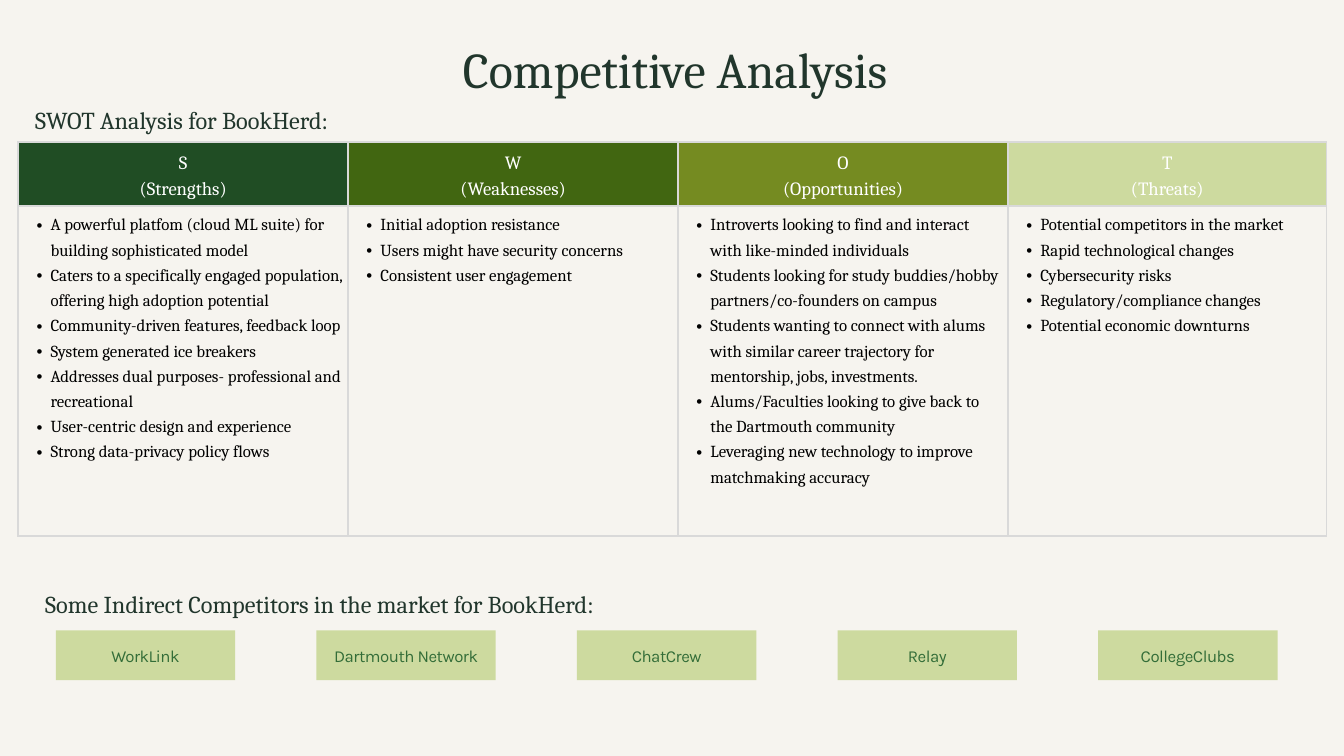
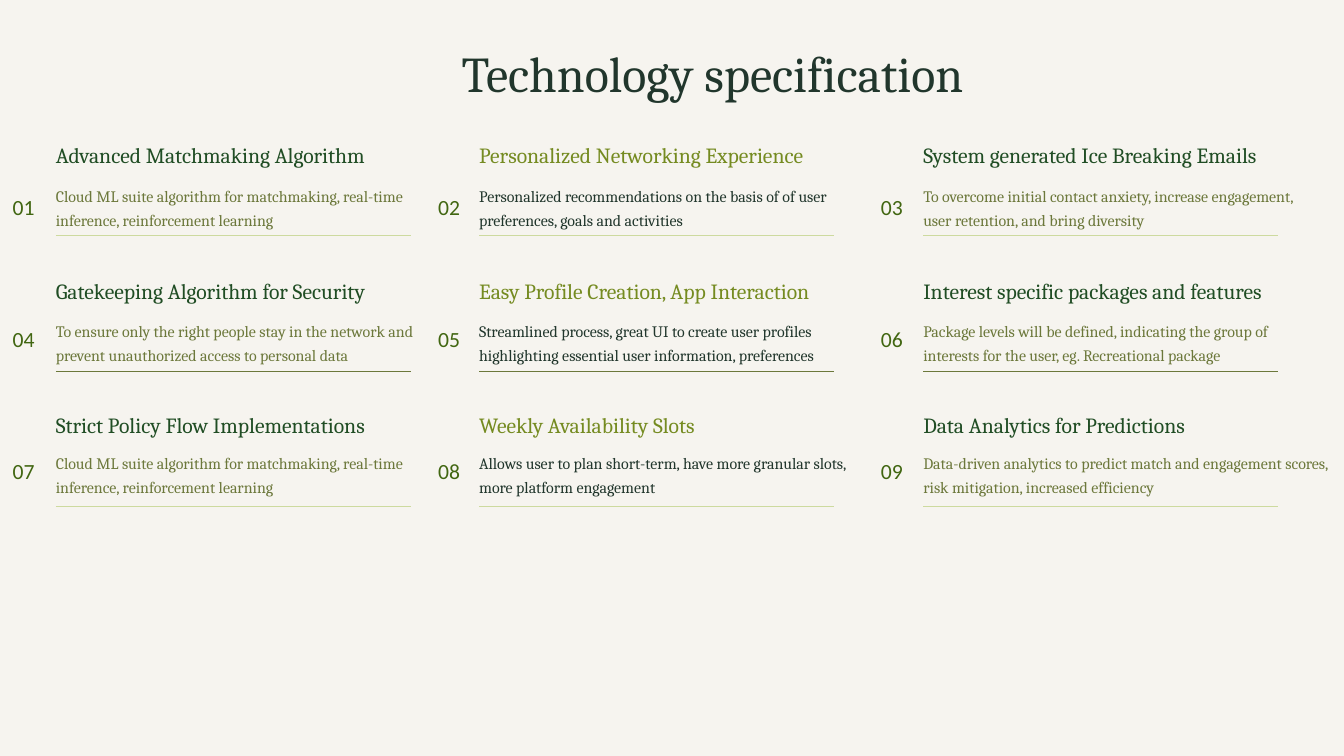
"""Build two slides: a SWOT table with indirect competitors, and a technology specification grid."""
import lxml.etree
import pptx
import pptx.dml.color
import pptx.enum.shapes
import pptx.enum.text
import pptx.oxml
import pptx.oxml.ns
import pptx.util

Cm = pptx.util.Cm
Pt = pptx.util.Pt
RGBColor = pptx.dml.color.RGBColor
PP_ALIGN = pptx.enum.text.PP_ALIGN
ANCHOR = pptx.enum.text.MSO_ANCHOR
qn = pptx.oxml.ns.qn

PAPER = RGBColor(0xF6, 0xF4, 0xEF)
INK = RGBColor(0x21, 0x36, 0x2C)
FOREST = RGBColor(0x20, 0x4D, 0x24)
MOSS = RGBColor(0x41, 0x66, 0x11)
OLIVE = RGBColor(0x75, 0x8B, 0x21)
LIME = RGBColor(0xCD, 0xDA, 0x9F)
SAGE = RGBColor(0x6C, 0x78, 0x3B)
FERN = RGBColor(0x33, 0x6D, 0x38)
WHITE = RGBColor(0xFF, 0xFF, 0xFF)
BLACK = RGBColor(0x00, 0x00, 0x00)
BORDER = "D9D9D9"
SERIF = "Cambria"


def write(frame, text, size, colour, spacing, font=SERIF, align=PP_ALIGN.LEFT, inset=0):
    """Fill a text frame and format every paragraph in it."""
    frame.text = text
    frame.word_wrap = True
    frame.margin_left = frame.margin_right = Cm(inset)
    frame.margin_top = frame.margin_bottom = Cm(inset)
    for paragraph in frame.paragraphs:
        paragraph.alignment = align
        paragraph.line_spacing = Pt(spacing)
        for run in paragraph.runs:
            run.font.name = font
            run.font.size = Pt(size)
            run.font.color.rgb = colour


def add_titled_slide(title, left, top, width):
    """Add a slide with the shared title style."""
    slide = deck.slides.add_slide(deck.slide_layouts[5])
    heading = slide.shapes.title
    heading.left, heading.top, heading.width, heading.height = Cm(left), Cm(top), Cm(width), Cm(2.55)
    write(heading.text_frame, title, 53.6, INK, 75)
    heading.text_frame.auto_size = pptx.enum.text.MSO_AUTO_SIZE.NONE
    heading.text_frame.vertical_anchor = ANCHOR.TOP
    return slide


deck = pptx.Presentation()
deck.slide_width = Cm(50.8)
deck.slide_height = Cm(28.58)
deck.slide_master.background.fill.solid()
deck.slide_master.background.fill.fore_color.rgb = PAPER

analysis = add_titled_slide("Competitive Analysis", 17.5, 1.09, 18.44)

swot = [
    ("S\n(Strengths)", FOREST, 12.47, [
        "A powerful platfom (cloud ML suite) for building sophisticated model",
        "Caters to a specifically engaged population, offering high adoption potential",
        "Community-driven features, feedback loop",
        "System generated ice breakers",
        "Addresses dual purposes- professional and recreational",
        "User-centric design and experience",
        "Strong data-privacy policy flows",
    ]),
    ("W\n(Weaknesses)", MOSS, 12.47, [
        "Initial adoption resistance",
        "Users might have security concerns",
        "Consistent user engagement",
    ]),
    ("O\n(Opportunities)", OLIVE, 12.47, [
        "Introverts looking to find and interact with like-minded individuals",
        "Students looking for study buddies/hobby partners/co-founders on campus",
        "Students wanting to connect with alums with similar career trajectory for "
        "mentorship, jobs, investments.",
        "Alums/Faculties looking to give back to the Dartmouth community",
        "Leveraging new technology to improve matchmaking accuracy",
    ]),
    ("T\n(Threats)", LIME, 12.04, [
        "Potential competitors in the market",
        "Rapid technological changes",
        "Cybersecurity risks",
        "Regulatory/compliance changes",
        "Potential economic downturns",
    ]),
]
swot_table = analysis.shapes.add_table(2, 4, Cm(0.69), Cm(5.38), Cm(49.45), Cm(14.88)).table
swot_table.first_row = swot_table.horz_banding = False
swot_table.rows[0].height = Cm(2.41)
swot_table.rows[1].height = Cm(12.47)

for column, (letter, colour, width, points) in enumerate(swot):
    swot_table.columns[column].width = Cm(width)
    header, body = swot_table.cell(0, column), swot_table.cell(1, column)
    for cell in (header, body):
        for side in ("lnL", "lnR", "lnT", "lnB"):
            cell._tc.get_or_add_tcPr().append(pptx.oxml.parse_xml(
                f'<a:{side} xmlns:a="http://schemas.openxmlformats.org/drawingml/2006/main" w="28575">'
                f'<a:solidFill><a:srgbClr val="{BORDER}"/></a:solidFill></a:{side}>'))
        cell.margin_left = cell.margin_right = cell.margin_top = cell.margin_bottom = Cm(0.15)
    header.fill.solid()
    header.fill.fore_color.rgb = colour
    header.vertical_anchor = ANCHOR.MIDDLE
    body.fill.background()
    header.text_frame.text = letter
    body.text_frame.text = "\n".join(points)
    for cell, size, spacing, ink in ((header, 20, 28, WHITE), (body, 18, 27, BLACK)):
        for paragraph in cell.text_frame.paragraphs:
            if cell is body:
                properties = paragraph._p.get_or_add_pPr()
                properties.set("marL", str(Cm(1.07)))
                properties.set("indent", str(-Cm(0.53)))
                bullet_font = lxml.etree.SubElement(properties, qn("a:buFont"))
                bullet_font.set("typeface", "Arial")
                lxml.etree.SubElement(properties, qn("a:buChar")).set("char", "•")
            paragraph.alignment = PP_ALIGN.CENTER if cell is header else PP_ALIGN.LEFT
            paragraph.line_spacing = Pt(spacing)
            for run in paragraph.runs:
                run.font.name = SERIF
                run.font.size = Pt(size)
                run.font.color.rgb = ink

for subtitle, left, top, width in (
    ("SWOT Analysis for BookHerd:", 0.69, 3.81, 12.37),
    ("Some Indirect Competitors in the market for BookHerd:", 0, 22.1, 24.18),
):
    section = analysis.shapes.add_textbox(Cm(left), Cm(top), Cm(width), Cm(1.24))
    write(section.text_frame, subtitle, 26, INK, 36.4, align=PP_ALIGN.CENTER)

competitors = ["WorkLink", "Dartmouth Network", "ChatCrew", "Relay", "CollegeClubs"]
for position, name in enumerate(competitors):
    competitor = analysis.shapes.add_shape(
        pptx.enum.shapes.MSO_SHAPE.RECTANGLE,
        Cm(2.11 + 9.85 * position), Cm(23.83), Cm(6.78), Cm(1.88))
    competitor.shadow.inherit = False
    competitor.fill.solid()
    competitor.fill.fore_color.rgb = LIME
    competitor.line.fill.background()
    write(competitor.text_frame, name, 18, FERN, 23.4, "Karla", PP_ALIGN.CENTER, 0.15)
    competitor.text_frame.vertical_anchor = ANCHOR.MIDDLE
    competitor.text_frame.paragraphs[0].runs[0].font._element.set("spc", "-50")

technology = add_titled_slide("Technology specification", 17.45, 1.22, 22)

features = [
    ("Advanced Matchmaking Algorithm",
     "Cloud ML suite algorithm for matchmaking, real-time inference, reinforcement learning"),
    ("Personalized Networking Experience",
     "Personalized recommendations on the basis of of user preferences, goals and activities"),
    ("System generated Ice Breaking Emails",
     "To overcome initial contact anxiety, increase engagement, user retention, and bring diversity"),
    ("Gatekeeping Algorithm for Security",
     "To ensure only the right people stay in the network and prevent unauthorized access to personal data"),
    ("Easy Profile Creation, App Interaction",
     "Streamlined process, great UI to create user profiles highlighting essential user information, preferences"),
    ("Interest specific packages and features",
     "Package levels will be defined, indicating the group of interests for the user, eg. Recreational package"),
    ("Strict Policy Flow Implementations",
     "Cloud ML suite algorithm for matchmaking, real-time inference, reinforcement learning"),
    ("Weekly Availability Slots",
     "Allows user to plan short-term, have more granular slots, more platform engagement"),
    ("Data Analytics for Predictions",
     "Data-driven analytics to predict match and engagement scores, risk mitigation, increased efficiency"),
]
feature_columns = [
    (0.48, 2.11, 14, FOREST, SAGE),
    (16.56, 18.11, 14.2, OLIVE, INK),
    (33.3, 34.9, 14.94, FOREST, SAGE),
]
feature_rows = [
    (5.36, 6.86, 7.32, 8.89, LIME),
    (10.49, 11.99, 12.32, 14.03, SAGE),
    (15.57, 16.97, 17.3, 19.13, LIME),
]
for index, (feature, detail) in enumerate(features):
    number_left, left, width, feature_colour, detail_colour = feature_columns[index % 3]
    feature_top, detail_top, number_top, rule_top, rule_colour = feature_rows[index // 3]
    detail_width = 15.57 if index == 8 else width

    rule = technology.shapes.add_connector(
        pptx.enum.shapes.MSO_CONNECTOR.STRAIGHT,
        Cm(left), Cm(rule_top), Cm(left + 13.41), Cm(rule_top))
    rule.line.color.rgb = rule_colour
    rule.line.width = Pt(0.75)
    lxml.etree.SubElement(rule._element.spPr, qn("a:effectLst"))

    for text, x, y, box_width, height, size, colour, spacing, font in (
        (f"{index + 1:02}", number_left, number_top, 2.11, 0.97, 23.2, MOSS, 27.8, "Calibri"),
        (feature, left, feature_top, width, 0.97, 23.2, feature_colour, 27.8, SERIF),
        (detail, left, detail_top, detail_width, 1.75, 17.1, detail_colour, 25.7, SERIF),
    ):
        box = technology.shapes.add_textbox(Cm(x), Cm(y), Cm(box_width), Cm(height))
        write(box.text_frame, text, size, colour, spacing, font)

deck.save("out.pptx")
